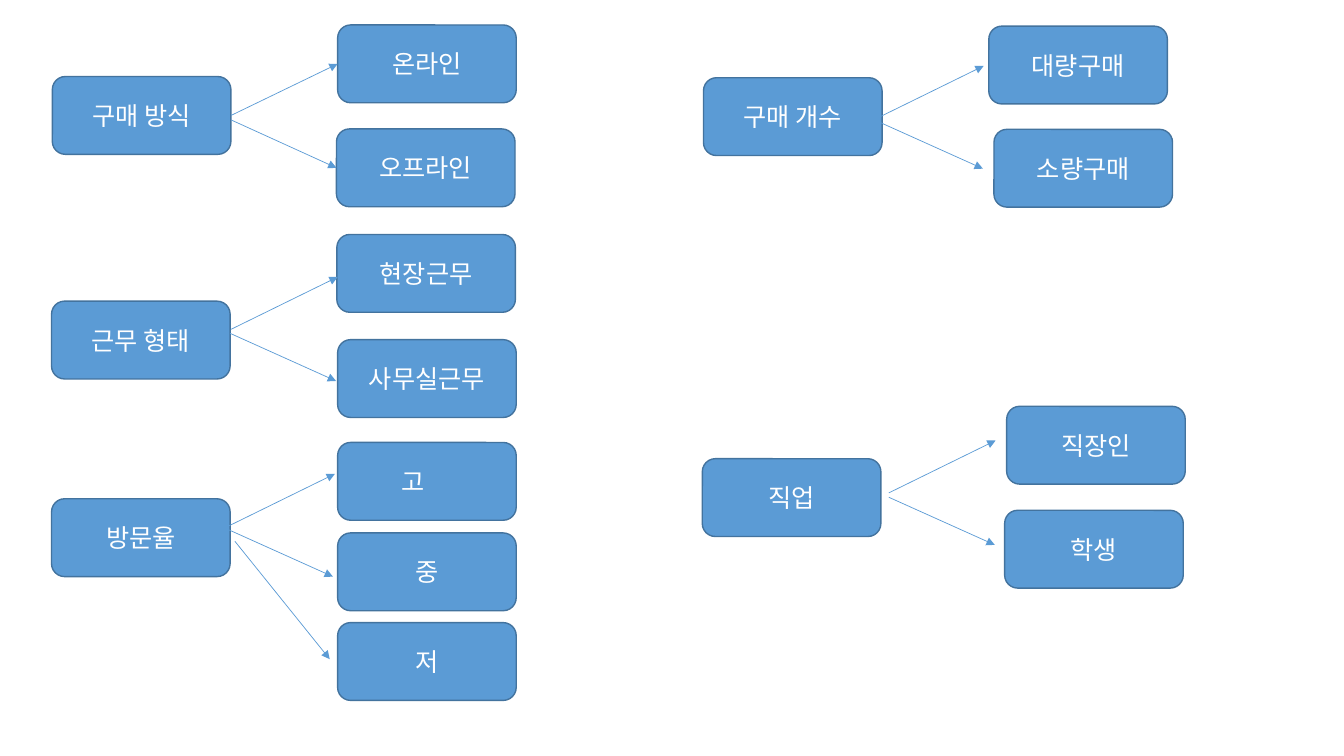
import lxml.etree
import pptx
import pptx.dml.color
import pptx.enum.shapes
import pptx.enum.text
import pptx.oxml.ns
import pptx.util

Cm = pptx.util.Cm
FONT = "Noto Sans CJK KR"
NODE_WIDTH, NODE_HEIGHT = 4.5, 1.96
TOLERANCE = 0.05
LEFT, RIGHT = 1, 3
UP, DOWN, STEEP = (2.69, -1.32), (2.67, 1.2), (2.39, 2.97)

# Each branch: label, node offset, arrow start offset, arrow reach
TREES = [
    ("구매 방식", (1.32, 1.93), [
        ("온라인", (7.19, -1.3), (4.5, 0.99), UP),
        ("오프라인", (7.16, 1.32), (4.5, 1.09), DOWN)]),
    ("근무 형태", (1.3, 7.59), [
        ("현장근무", (7.19, -1.68), (4.52, 0.71), UP),
        ("사무실근무", (7.21, 0.97), (4.5, 0.81), DOWN)]),
    ("방문율", (1.3, 12.57), [
        ("고\t", (7.21, -1.42), (4.45, 0.69), UP),
        ("중", (7.21, 0.86), (4.42, 0.76), DOWN),
        ("저", (7.21, 3.12), (4.62, 1.07), STEEP)]),
    ("구매 개수", (17.73, 1.96), [
        ("대량구매", (7.19, -1.3), (4.37, 1.02), UP),
        ("소량구매", (7.32, 1.3), (4.37, 1.09), DOWN)]),
    ("직업", (17.7, 11.56), [
        ("직장인", (7.67, -1.32), (4.7, 0.86), UP),
        ("학생", (7.62, 1.3), (4.7, 0.97), DOWN)]),
]


def color(value):
    """Return the colour for a hex string."""
    return pptx.dml.color.RGBColor.from_string(value)


def apply_format(target, values):
    """Set each named attribute on the target."""
    for name, value in values.items():
        setattr(target, name, value)


def shift(point, offset):
    """Return the point moved by the offset."""
    return point[0] + offset[0], point[1] + offset[1]


def is_near(first, second):
    """Tell whether two points coincide within the tolerance."""
    return all(abs(a - b) < TOLERANCE for a, b in zip(first, second))


def add_node(page, label, corner):
    """Add a rounded box with a centred label at the corner."""
    box = page.shapes.add_shape(
        pptx.enum.shapes.MSO_SHAPE.ROUNDED_RECTANGLE,
        *map(Cm, (*corner, NODE_WIDTH, NODE_HEIGHT)))
    box.shadow.inherit = False
    box.fill.solid()
    box.fill.fore_color.rgb = color("5B9BD5")
    box.line.color.rgb = color("43739E")
    box.line.width = pptx.util.Pt(1)
    apply_format(box.text_frame, {
        "word_wrap": True,
        "vertical_anchor": pptx.enum.text.MSO_ANCHOR.MIDDLE})
    para = box.text_frame.paragraphs[0]
    para.alignment = pptx.enum.text.PP_ALIGN.CENTER
    span = para.add_run()
    span.text = label
    apply_format(span.font, {"name": FONT, "size": pptx.util.Pt(18)})
    span.font.color.rgb = color("FFFFFF")
    lxml.etree.SubElement(span.font._element, pptx.oxml.ns.qn("a:ea"), typeface=FONT)
    return box


def add_arrow(page, start, end):
    """Add a thin arrow from start to end."""
    arrow = page.shapes.add_connector(
        pptx.enum.shapes.MSO_CONNECTOR.STRAIGHT, *map(Cm, (*start, *end)))
    arrow.line.color.rgb = color("5B9BD5")
    arrow.line.width = pptx.util.Pt(0.5)
    line = arrow.line._get_or_add_ln()
    lxml.etree.SubElement(line, pptx.oxml.ns.qn("a:tailEnd"), type="triangle")
    lxml.etree.SubElement(arrow._element.spPr, pptx.oxml.ns.qn("a:effectLst"))
    return arrow


def add_tree(page, label, corner, branches):
    """Add a root box at the corner with its branches and arrows."""
    root = add_node(page, label, corner)
    root_side = shift(corner, (NODE_WIDTH, NODE_HEIGHT / 2))
    for branch_label, node_offset, arrow_offset, reach in branches:
        branch_corner = shift(corner, node_offset)
        branch = add_node(page, branch_label, branch_corner)
        start = shift(corner, arrow_offset)
        end = shift(start, reach)
        arrow = add_arrow(page, start, end)
        if is_near(start, root_side):
            arrow.begin_connect(root, RIGHT)
        if is_near(end, shift(branch_corner, (0, NODE_HEIGHT / 2))):
            arrow.end_connect(branch, LEFT)


def main():
    """Build the deck and save it."""
    deck = pptx.Presentation()
    apply_format(deck, {"slide_width": Cm(33.87), "slide_height": Cm(19.05)})
    page = deck.slides.add_slide(deck.slide_layouts.get_by_name("Blank"))
    for label, corner, branches in TREES:
        add_tree(page, label, corner, branches)
    deck.save("out.pptx")


if __name__ == "__main__":
    main()
